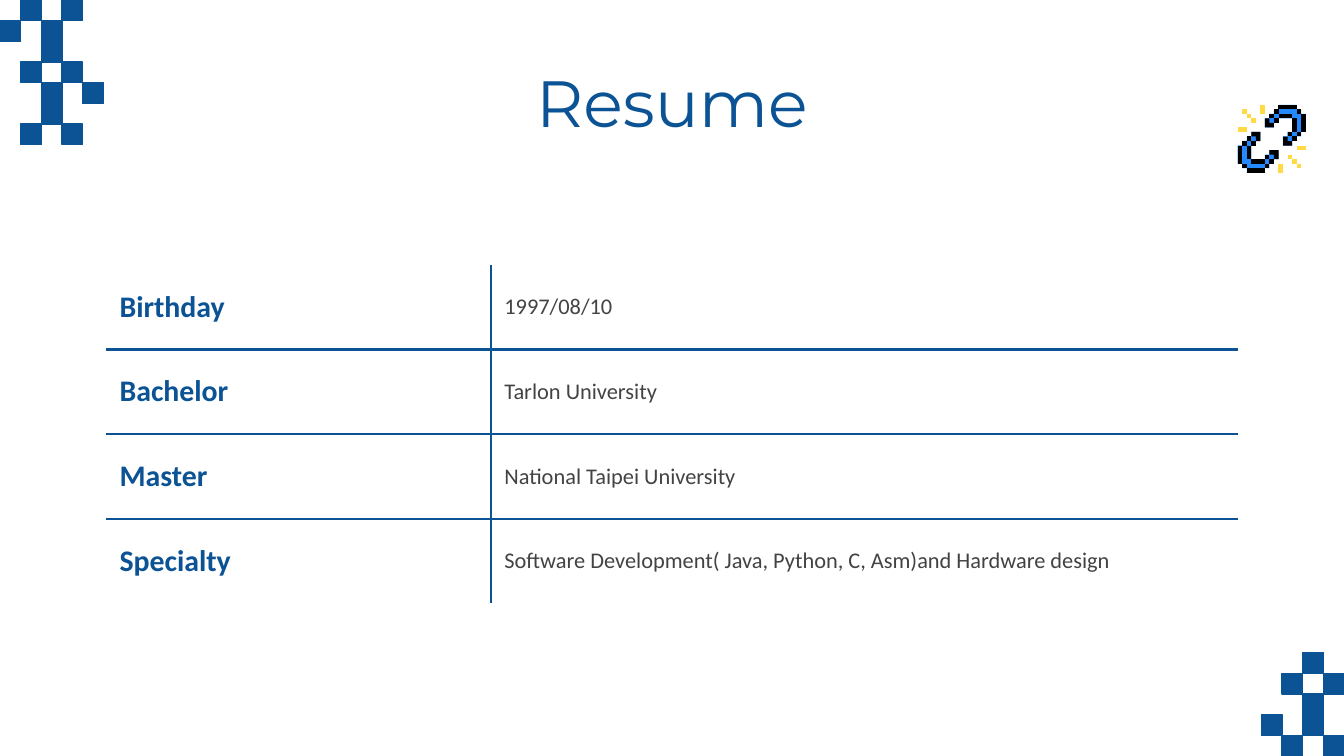
from dataclasses import dataclass

from lxml.etree import SubElement
from pptx import Presentation
from pptx.dml.color import RGBColor
from pptx.enum.shapes import MSO_SHAPE
from pptx.enum.text import MSO_ANCHOR, MSO_AUTO_SIZE, PP_ALIGN
from pptx.oxml.ns import qn
from pptx.shapes.group import GroupShape
from pptx.slide import Slide
from pptx.table import _Cell
from pptx.util import Emu, Inches, Pt

NAVY = RGBColor(0x0B, 0x53, 0x94)
BRIGHT_BLUE = RGBColor(0x24, 0x88, 0xFF)
YELLOW = RGBColor(0xFF, 0xDA, 0x44)
BLACK = RGBColor(0x00, 0x00, 0x00)
GRAY = RGBColor(0x43, 0x43, 0x43)

WIDTH, HEIGHT = Inches(10), Inches(5.625)
SQUARE = WIDTH / 65
MARGIN = Inches(0.79)
INSET = Inches(0.1)
BORDER = Pt(1.5)

TOP_LEFT_PATTERN = (
    ".#.#.",
    "#.#..",
    "..#..",
    ".#.#.",
    "..#.#",
    "..#..",
    ".#.#.",
)
BOTTOM_RIGHT_PATTERN = (
    "..#.",
    ".#.#",
    "..#.",
    "#.#.",
    ".#.#",
)

Point = tuple[int, int]


@dataclass(frozen=True)
class Piece:
    """A filled outline on the pixel grid of the link icon."""
    color: RGBColor
    points: tuple[Point, ...]


@dataclass(frozen=True)
class ResumeEntry:
    label: str
    detail: str
    space_after: int = 16


def block(color: RGBColor, column: int, row: int, columns: int = 1, rows: int = 1) -> Piece:
    right, bottom = column + columns, row + rows
    return Piece(color, ((column, row), (column, bottom), (right, bottom), (right, row)))


ICON_CELLS = 15
ICON_CELL = Inches(0.505) / ICON_CELLS
ICON_LEFT, ICON_TOP = Inches(9.21), Inches(0.78)

# Upper half of the broken link; the lower half is the same turned by 180 degrees.
HALF_LINK = (
    Piece(BRIGHT_BLUE, (
        (9, 0), (9, 1), (8, 1), (8, 2), (7, 2), (7, 3), (6, 3), (6, 5), (8, 5), (8, 4),
        (9, 4), (9, 3), (12, 3), (12, 6), (11, 6), (11, 7), (10, 7), (10, 9), (12, 9),
        (12, 8), (13, 8), (13, 7), (14, 7), (14, 6), (15, 6), (15, 2), (14, 2), (14, 1),
        (13, 1), (13, 0))),
    block(YELLOW, 3, 3),
    block(YELLOW, 2, 2),
    block(YELLOW, 1, 1),
    block(YELLOW, 5, 0, rows=2),
    block(YELLOW, 0, 5, columns=2),
    block(BLACK, 9, 0, columns=4),
    block(BLACK, 13, 1),
    block(BLACK, 14, 2, rows=4),
    block(BLACK, 7, 2),
    block(BLACK, 8, 1),
    block(BLACK, 12, 7),
    block(BLACK, 13, 6),
    block(BLACK, 11, 6),
    block(BLACK, 12, 3, rows=3),
    block(BLACK, 8, 3),
    block(BLACK, 9, 2, columns=3),
    Piece(BLACK, ((6, 3), (6, 5), (8, 5), (8, 4), (7, 4), (7, 3))),
    Piece(BLACK, ((10, 7), (10, 9), (12, 9), (12, 8), (11, 8), (11, 7))),
)

ENTRIES = (
    ResumeEntry("Birthday", "1997/08/10"),
    ResumeEntry("Bachelor", "Tarlon University"),
    ResumeEntry("Master", "National Taipei University"),
    ResumeEntry("Specialty", "Software Development( Java, Python, C, Asm)and Hardware design", 0),
)


def add_squares(slide: Slide, pattern: tuple[str, ...], left: float, top: float) -> None:
    group = slide.shapes.add_group_shape()
    for row, marks in enumerate(pattern):
        for column, mark in enumerate(marks):
            if mark != "#":
                continue
            square = group.shapes.add_shape(
                MSO_SHAPE.RECTANGLE, Emu(round(left + column * SQUARE)),
                Emu(round(top + row * SQUARE)), Emu(round(SQUARE)), Emu(round(SQUARE)))
            square.shadow.inherit = False
            square.fill.solid()
            square.fill.fore_color.rgb = NAVY
            square.line.color.rgb = NAVY
            square.line.width = Pt(0.75)


def add_piece(group: GroupShape, piece: Piece, turned: bool) -> None:
    points = [(ICON_CELLS - x, ICON_CELLS - y) if turned else (x, y) for x, y in piece.points]
    corners = [(round(ICON_LEFT + x * ICON_CELL), round(ICON_TOP + y * ICON_CELL))
               for x, y in points]
    builder = group.shapes.build_freeform(*corners[0])
    builder.add_line_segments(corners[1:], close=True)
    shape = builder.convert_to_shape()
    shape.shadow.inherit = False
    shape.fill.solid()
    shape.fill.fore_color.rgb = piece.color
    shape.line.fill.background()


def add_link_icon(slide: Slide) -> None:
    group = slide.shapes.add_group_shape()
    for piece in HALF_LINK:
        for turned in (False, True):
            add_piece(group, piece, turned)


def set_borders(cell: _Cell, visible: dict[str, bool]) -> None:
    properties = cell._tc.get_or_add_tcPr()
    for side, shown in visible.items():
        line = SubElement(properties, qn(f"a:ln{side}"), w=str(BORDER))
        if shown:
            fill = SubElement(line, qn("a:solidFill"))
            SubElement(fill, qn("a:srgbClr"), val=str(NAVY))
        else:
            SubElement(line, qn("a:noFill"))


def fill_cell(cell: _Cell, text: str, size: int, color: RGBColor, bold: bool,
              space_after: int = 0) -> None:
    cell.margin_left = cell.margin_right = cell.margin_top = cell.margin_bottom = INSET
    cell.vertical_anchor = MSO_ANCHOR.MIDDLE
    cell.fill.background()
    paragraph = cell.text_frame.paragraphs[0]
    paragraph.text = text
    paragraph.space_after = Pt(space_after)
    font = paragraph.runs[0].font
    font.name, font.size, font.bold = "Calibri", Pt(size), bold
    font.color.rgb = color


def add_resume_table(slide: Slide) -> None:
    width, row_height = WIDTH - 2 * MARGIN, Inches(0.63)
    table = slide.shapes.add_table(
        len(ENTRIES), 2, MARGIN, Inches(1.97), width, row_height * len(ENTRIES)).table
    table.first_row = table.horz_banding = False
    for column, share in zip(table.columns, (0.34, 0.66)):
        column.width = round(width * share)
    for row, entry in enumerate(ENTRIES):
        for column in range(2):
            set_borders(table.cell(row, column), {
                "L": column > 0, "R": column < 1,
                "T": row > 0, "B": row < len(ENTRIES) - 1})
        fill_cell(table.cell(row, 0), entry.label, 16, NAVY, True)
        fill_cell(table.cell(row, 1), entry.detail, 12, GRAY, False, entry.space_after)


def format_title(slide: Slide, text: str) -> None:
    title = slide.shapes.title
    title.left, title.top = MARGIN, Inches(0.36)
    title.width, title.height = WIDTH - 2 * MARGIN, Inches(0.63)
    frame = title.text_frame
    frame.text = text
    frame.auto_size = MSO_AUTO_SIZE.NONE
    frame.vertical_anchor = MSO_ANCHOR.TOP
    frame.margin_left = frame.margin_right = frame.margin_top = frame.margin_bottom = INSET
    paragraph = frame.paragraphs[0]
    paragraph.alignment = PP_ALIGN.CENTER
    font = paragraph.runs[0].font
    font.name, font.size = "Montserrat", Pt(35)
    font.color.rgb = NAVY


def main() -> None:
    presentation = Presentation()
    presentation.slide_width, presentation.slide_height = WIDTH, HEIGHT
    slide = presentation.slides.add_slide(presentation.slide_layouts.get_by_name("Title Only"))
    add_squares(slide, TOP_LEFT_PATTERN, 0, 0)
    add_squares(slide, BOTTOM_RIGHT_PATTERN,
                WIDTH - len(BOTTOM_RIGHT_PATTERN[0]) * SQUARE,
                HEIGHT - len(BOTTOM_RIGHT_PATTERN) * SQUARE)
    add_link_icon(slide)
    format_title(slide, "Resume")
    add_resume_table(slide)
    presentation.save("out.pptx")


if __name__ == "__main__":
    main()
